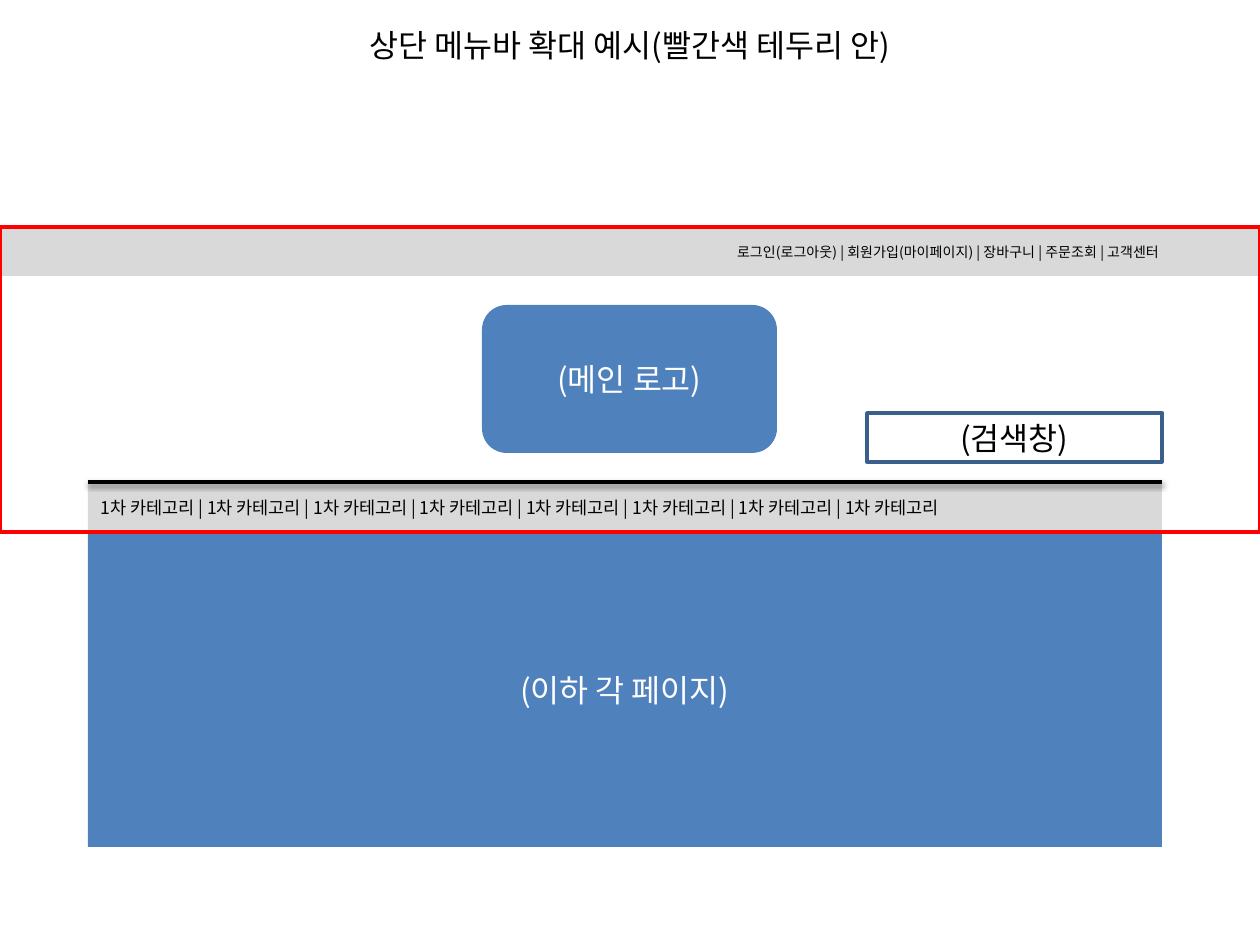
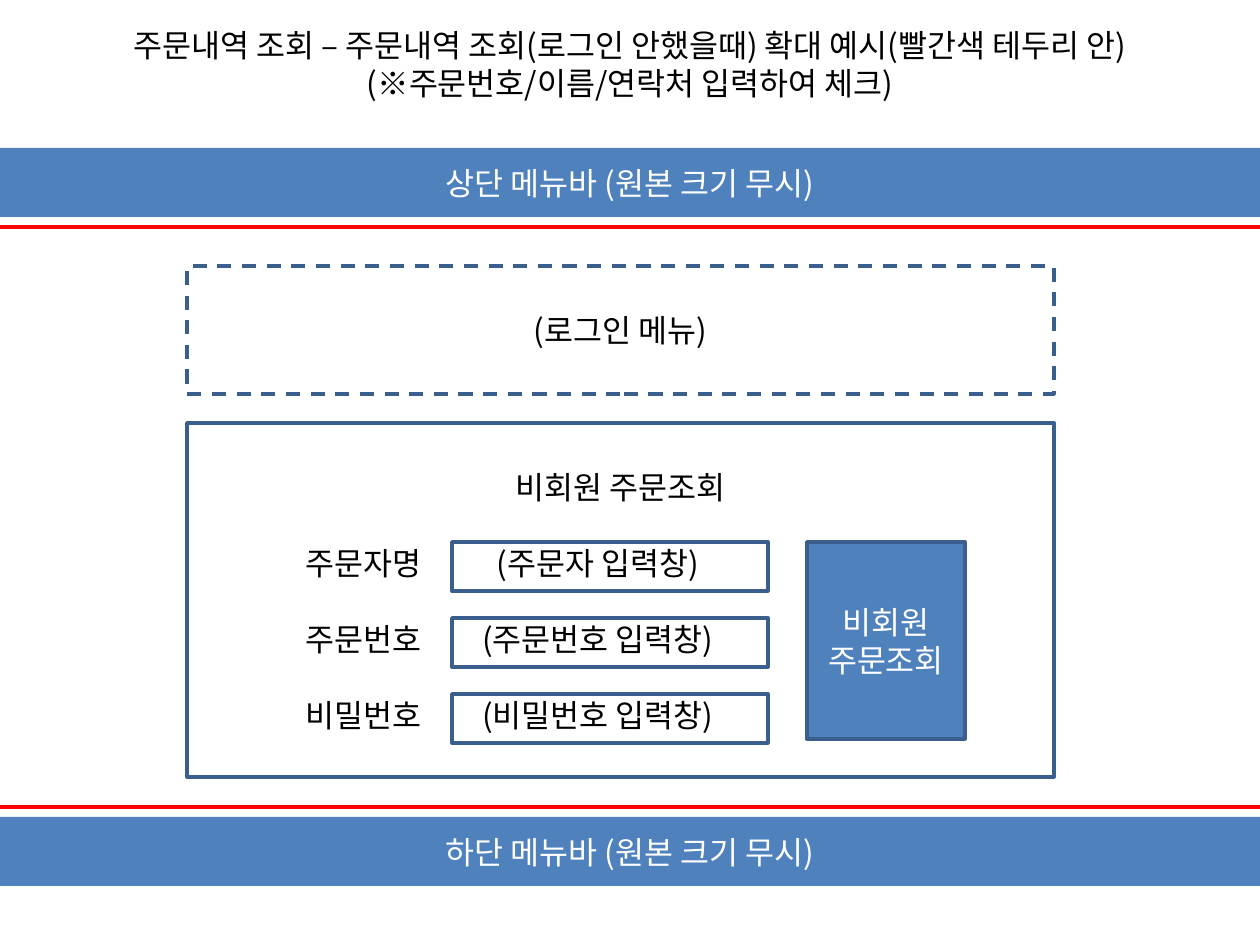
from lxml import etree
from pptx import Presentation
from pptx.dml.color import RGBColor
from pptx.enum.dml import MSO_LINE
from pptx.enum.shapes import MSO_CONNECTOR, MSO_SHAPE
from pptx.enum.text import MSO_ANCHOR, MSO_AUTO_SIZE, PP_ALIGN
from pptx.oxml.ns import qn
from pptx.util import Pt

PX = 7257
FONT = "Noto Sans CJK KR"
BLUE, EDGE, GREY = "4F81BD", "3A5F8C", "D9D9D9"
RED, BLACK, WHITE = "FF0000", "000000", "FFFFFF"
RECT, ROUND = MSO_SHAPE.RECTANGLE, MSO_SHAPE.ROUNDED_RECTANGLE
TOP, MIDDLE = MSO_ANCHOR.TOP, MSO_ANCHOR.MIDDLE
LEFT, CENTER, RIGHT, JUSTIFY = PP_ALIGN.LEFT, PP_ALIGN.CENTER, PP_ALIGN.RIGHT, PP_ALIGN.JUSTIFY
STRAIGHT = MSO_CONNECTOR.STRAIGHT
rgb = RGBColor.from_string


def write(tf, text, size=18, color=BLACK, align=CENTER, anchor=MIDDLE, inset=(13, 6, 13, 6)):
    tf.word_wrap = True
    tf.auto_size = MSO_AUTO_SIZE.NONE
    tf.vertical_anchor = anchor
    tf.margin_left, tf.margin_top, tf.margin_right, tf.margin_bottom = [v * PX for v in inset]
    for i, line in enumerate(text.split("\n")):
        p = tf.add_paragraph() if i else tf.paragraphs[0]
        p.alignment = align
        r = p.add_run()
        r.text = line
        r.font.size = Pt(size)
        r.font.name = FONT
        r.font.color.rgb = rgb(color)
        etree.SubElement(r.font._element, qn("a:ea"), typeface=FONT)


def box(s, x, y, w, h, fill=None, line=None, kind=RECT, text="", **fmt):
    sp = s.shapes.add_shape(kind, x * PX, y * PX, w * PX, h * PX)
    sp.shadow.inherit = False
    if fill:
        sp.fill.solid()
        sp.fill.fore_color.rgb = rgb(fill)
    else:
        sp.fill.background()
    if line:
        sp.line.color.rgb = rgb(line)
        sp.line.width = Pt(2)
    else:
        sp.line.fill.background()
    if text:
        write(sp.text_frame, text, **fmt)
    return sp


prs = Presentation()
prs.slide_width, prs.slide_height = 1260 * PX, 945 * PX

titles = [
    ("상단 메뉴바 확대 예시(빨간색 테두리 안)", 50),
    ("주문내역 조회 – 주문내역 조회(로그인 안했을때) 확대 예시(빨간색 테두리 안)\n"
     "(※주문번호/이름/연락처 입력하여 체크)", 89),
]
for text, h in titles:
    s = prs.slides.add_slide(prs.slide_layouts[5])
    title = s.shapes.title
    title.left, title.top, title.width, title.height = 0, 20 * PX, 1260 * PX, h * PX
    write(title.text_frame, text, anchor=TOP)
menu, order = prs.slides

box(menu, 482, 305, 295, 148, BLUE, kind=ROUND, text="(메인 로고)", color=WHITE)
box(menu, 0, 227, 1260, 49, GREY)
box(menu, 867, 413, 295, 49, WHITE, EDGE, text="(검색창)")
box(menu, 88, 482, 1074, 50, GREY)
links = ["로그인(로그아웃)", "회원가입(마이페이지)", "장바구니", "주문조회", "고객센터"]
bars = [
    (600, 237, 572, 30, links, 8, RIGHT),
    (88, 490, 1074, 34, ["1차 카테고리"] * 8, 10, JUSTIFY),
]
for x, y, w, h, items, size, align in bars:
    sp = menu.shapes.add_textbox(x * PX, y * PX, w * PX, h * PX)
    write(sp.text_frame, " | ".join(items), size=size, align=align)
box(menu, 88, 532, 1074, 315, BLUE, text="(이하 각 페이지)", color=WHITE)
box(menu, 0, 227, 1260, 305, line=RED)

for y, name in [(148, "상단"), (817, "하단")]:
    box(order, 0, y, 1260, 69, BLUE, text=f"{name} 메뉴바 (원본 크기 무시)", color=WHITE)
login = box(order, 187, 266, 867, 128, line=EDGE, text="(로그인 메뉴)")
login.line.dash_style = MSO_LINE.DASH
box(order, 187, 423, 867, 354, line=EDGE, text="비회원 주문조회", anchor=TOP, inset=(13, 45, 13, 6))
fields = [("주문자명", "주문자"), ("주문번호", "주문번호"), ("비밀번호", "비밀번호")]
for i, (label, field) in enumerate(fields):
    y = 542 + 76 * i
    sp = order.shapes.add_textbox(293 * PX, y * PX, 150 * PX, 49 * PX)
    write(sp.text_frame, label, align=LEFT, inset=(13, 0, 0, 8))
    box(order, 452, y, 316, 49, line=EDGE, text=f"({field} 입력창)", inset=(0, 0, 24, 8))
box(order, 807, 542, 158, 197, BLUE, EDGE, text="비회원\n주문조회", color=WHITE)

rules = [
    (menu, 88, 1162, 482, BLACK),
    (order, 0, 1260, 227, RED),
    (order, 0, 1260, 807, RED),
]
for s, x1, x2, y, color in rules:
    ln = s.shapes.add_connector(STRAIGHT, x1 * PX, y * PX, x2 * PX, y * PX)
    ln.line.color.rgb = rgb(color)
    ln.line.width = Pt(2)
    effects = etree.SubElement(ln._element.spPr, qn("a:effectLst"))
    if color == BLACK:
        shadow = etree.SubElement(effects, qn("a:outerShdw"), blurRad="40000", dist="20000",
                                  dir="5400000", rotWithShape="0")
        tint = etree.SubElement(shadow, qn("a:srgbClr"), val=BLACK)
        etree.SubElement(tint, qn("a:alpha"), val="38000")

prs.save("out.pptx")
